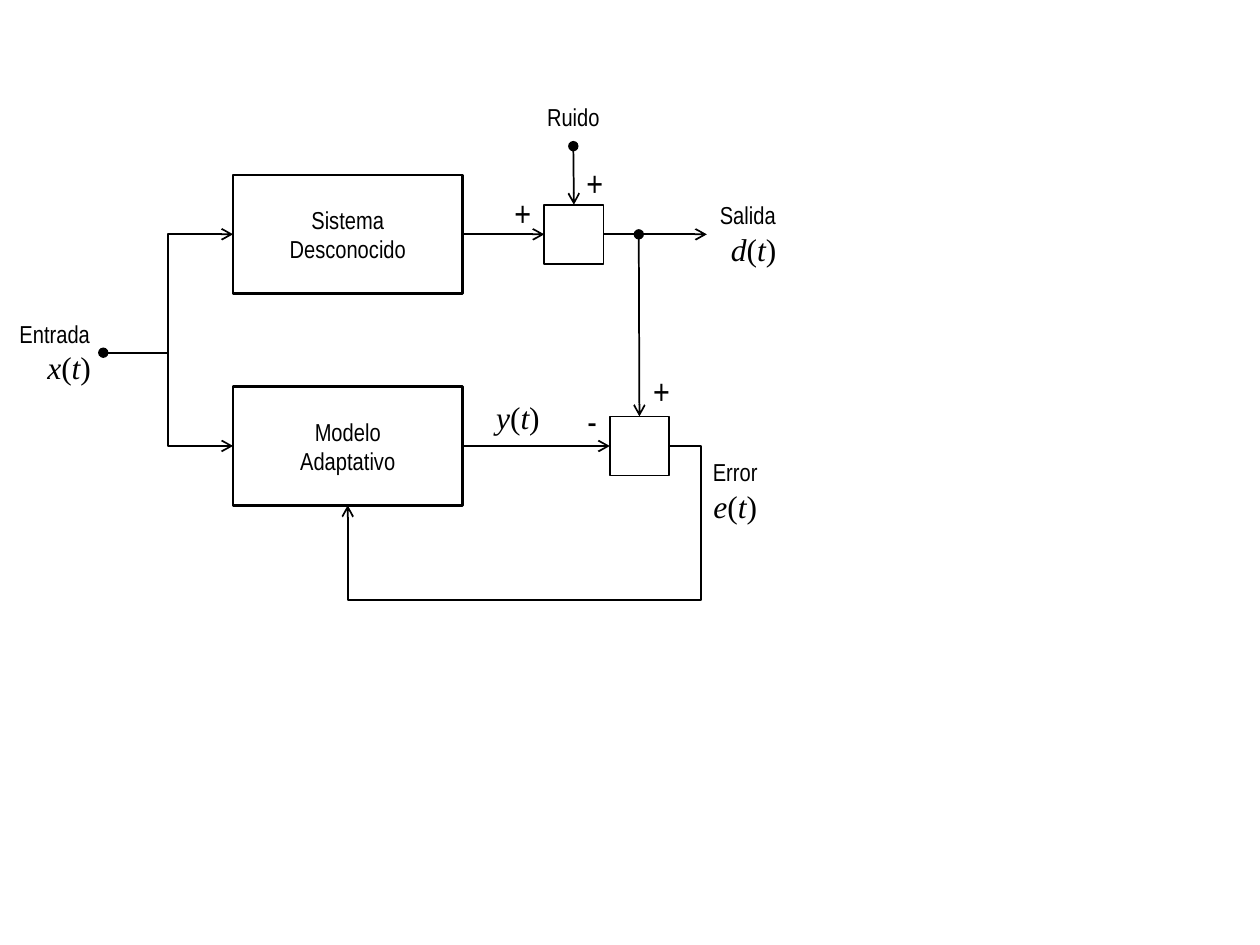
from dataclasses import dataclass

from lxml.etree import SubElement
from pptx import Presentation
from pptx.dml.color import RGBColor
from pptx.enum.shapes import MSO_CONNECTOR as Connector, MSO_SHAPE as Shape
from pptx.enum.text import MSO_ANCHOR as Anchor, MSO_AUTO_SIZE as AutoSize, PP_ALIGN as Align
from pptx.oxml.ns import qn
from pptx.util import Inches, Pt


@dataclass(frozen=True)
class Theme:
    ink: RGBColor = RGBColor(0, 0, 0)
    label_font: str = "Arial Narrow"
    math_font: str = "Times New Roman"
    label_size: int = 14
    math_size: int = 18
    sign_size: int = 20
    block_line: float = 1.5
    thin_line: float = 1


THEME = Theme()
TOP, RIGHT_SIDE, BOTTOM, LEFT_SIDE = 0, 3, 2, 1
SYSTEM_ROW, MODEL_ROW = 1.86, 3.54
BLOCK_LEFT, BLOCK_WIDTH, BLOCK_HEIGHT = 1.85, 1.82, 0.94
SUM_SIZE = 0.47
INPUT_END = (0.82, 2.8)


def set_font(paragraph, name, size):
    paragraph.font.name = name
    paragraph.font.size = Pt(size)
    paragraph.font.color.rgb = THEME.ink


def add_box(page, left, middle, width, height, line_width):
    box = page.shapes.add_shape(Shape.RECTANGLE, Inches(left), Inches(middle - height / 2),
                                Inches(width), Inches(height))
    box.shadow.inherit = False
    box.fill.background()
    box.line.color.rgb = THEME.ink
    box.line.width = Pt(line_width)
    return box


def add_block(page, middle, lines):
    block = add_box(page, BLOCK_LEFT, middle, BLOCK_WIDTH, BLOCK_HEIGHT, THEME.block_line)
    frame = block.text_frame
    frame.vertical_anchor = Anchor.MIDDLE
    frame.text = "\n".join(lines)
    for para in frame.paragraphs:
        para.alignment = Align.CENTER
        set_font(para, THEME.label_font, THEME.label_size)
    return block


def add_sum(page, left, middle):
    return add_box(page, left, middle, SUM_SIZE, SUM_SIZE, THEME.thin_line)


def write_signal(para, name, align):
    """Write a signal of time, such as x(t), with its letters in italics."""
    para.alignment = align
    set_font(para, THEME.math_font, THEME.math_size)
    for text in (name, "(", "t", ")"):
        span = para.add_run()
        span.text = text
        span.font.italic = text.isalpha()


def add_label(page, at, word="", signal="", signal_align=Align.CENTER, size=THEME.label_size):
    """Add a word, a signal, or a word with a signal below it."""
    frame = page.shapes.add_textbox(*map(Inches, at)).text_frame
    frame.word_wrap = False
    frame.auto_size = AutoSize.SHAPE_TO_FIT_TEXT
    para = frame.paragraphs[0]
    if word:
        para.text = word
        para.alignment = Align.CENTER
        set_font(para, THEME.label_font, size)
    if signal:
        write_signal(frame.add_paragraph() if word else para, signal, signal_align)


def add_arrow(page, start, end, kind=Connector.STRAIGHT, dot=False):
    """Join two ends, each a point or a (shape, side) pair."""
    arrow = page.shapes.add_connector(kind, 0, 0, 0, 0)
    if isinstance(start[0], (int, float)):
        arrow.begin_x, arrow.begin_y = map(Inches, start)
    else:
        arrow.begin_connect(*start)
    if isinstance(end[0], (int, float)):
        arrow.end_x, arrow.end_y = map(Inches, end)
    else:
        arrow.end_connect(*end)
    arrow.line.color.rgb = THEME.ink
    arrow.line.width = Pt(THEME.thin_line)
    line = arrow.line._get_or_add_ln()
    if dot:
        SubElement(line, qn("a:headEnd"), type="oval")
    SubElement(line, qn("a:tailEnd"), type="arrow")
    SubElement(arrow._element.spPr, qn("a:effectLst"))
    return arrow


def bend_around(arrow, across, down):
    """Give an elbow three bends, placed at shares of its width and height."""
    geometry = arrow._element.spPr.find(qn("a:prstGeom"))
    geometry.set("prst", "bentConnector4")
    guides = geometry.find(qn("a:avLst"))
    if guides is None:
        guides = SubElement(geometry, qn("a:avLst"))
    for name, share in (("adj1", across), ("adj2", down)):
        SubElement(guides, qn("a:gd"), name=name, fmla=f"val {round(share * 100000)}")


def add_diagram(page):
    system = add_block(page, SYSTEM_ROW, ("Sistema", "Desconocido"))
    model = add_block(page, MODEL_ROW, ("Modelo", "Adaptativo"))
    noise_sum = add_sum(page, 4.32, SYSTEM_ROW)
    error_sum = add_sum(page, 4.84, MODEL_ROW)

    add_arrow(page, INPUT_END, (system, LEFT_SIDE), Connector.ELBOW, dot=True)
    add_arrow(page, INPUT_END, (model, LEFT_SIDE), Connector.ELBOW)
    add_arrow(page, (system, RIGHT_SIDE), (noise_sum, LEFT_SIDE))
    add_arrow(page, (4.55, 1.16), (noise_sum, TOP), dot=True)
    add_arrow(page, (noise_sum, RIGHT_SIDE), (5.61, SYSTEM_ROW))
    add_arrow(page, (model, RIGHT_SIDE), (error_sum, LEFT_SIDE))
    add_arrow(page, (5.07, SYSTEM_ROW), (error_sum, TOP), dot=True)
    feedback = add_arrow(page, (error_sum, RIGHT_SIDE), (model, BOTTOM), Connector.ELBOW)
    bend_around(feedback, -0.1, 2.6)


def add_labels(page):
    add_label(page, (0.05, 2.48, 0.77, 0.64), "Entrada", "x", Align.RIGHT)
    add_label(page, (4.24, 0.76, 0.62, 0.34), "Ruido")
    add_label(page, (5.61, 1.54, 0.65, 0.64), "Salida", "d", Align.RIGHT)
    add_label(page, (3.82, 3.11, 0.58, 0.4), signal="y")
    add_label(page, (5.55, 3.58, 0.57, 0.64), "Error", "e")
    for sign, left, top, width in (("+", 3.98, 1.47, 0.34), ("+", 4.55, 1.23, 0.34),
                                   ("+", 5.08, 2.88, 0.34), ("-", 4.56, 3.12, 0.28)):
        add_label(page, (left, top, width, 0.44), sign, size=THEME.sign_size)


def main():
    deck = Presentation()
    deck.slide_width, deck.slide_height = Inches(10), Inches(7.5)
    page = deck.slides.add_slide(deck.slide_layouts[6])
    add_diagram(page)
    add_labels(page)
    deck.save("out.pptx")


if __name__ == "__main__":
    main()
